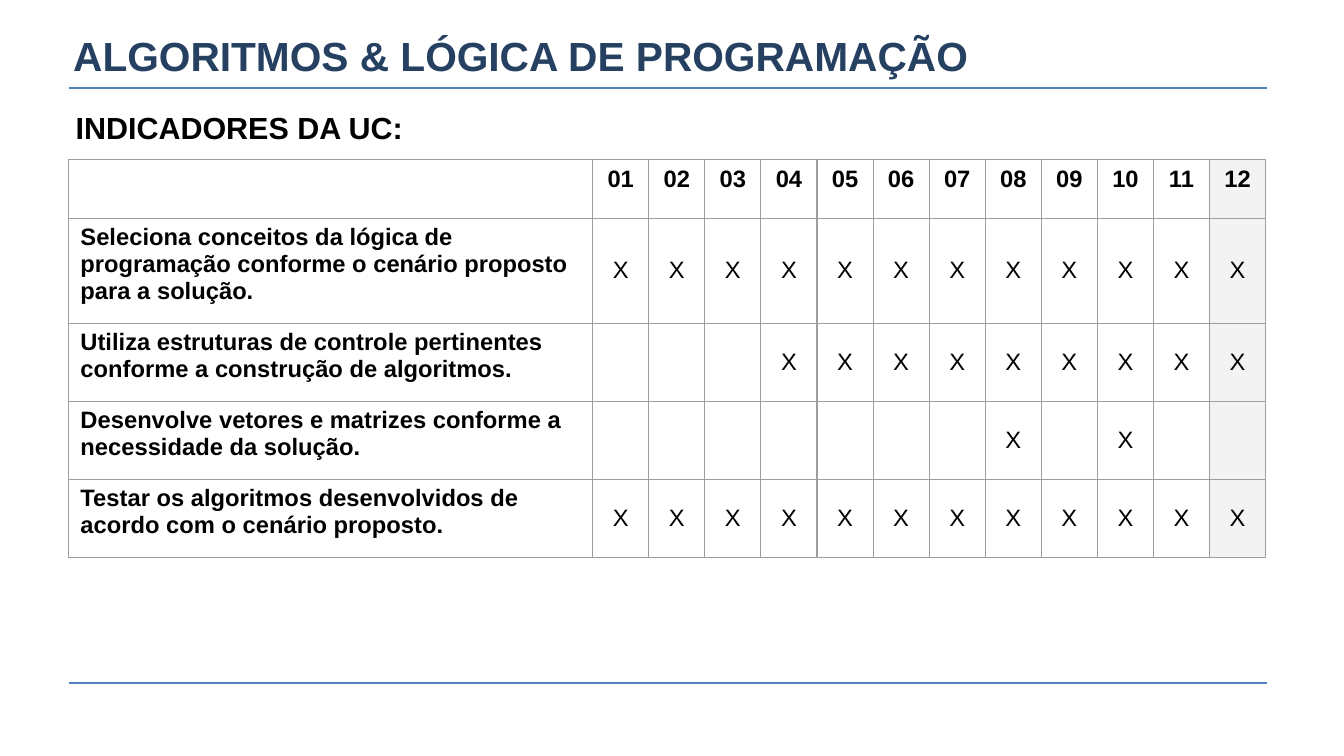
from lxml.etree import SubElement
from pptx import Presentation
from pptx.dml.color import RGBColor
from pptx.enum.shapes import MSO_CONNECTOR
from pptx.enum.text import MSO_ANCHOR, MSO_AUTO_SIZE, PP_ALIGN
from pptx.oxml import parse_xml
from pptx.oxml.ns import nsdecls, qn
from pptx.util import Inches, Pt

COLORS = {"title": "254061", "text": "000000", "rule": "4F81BD",
          "border": "9E9E9E", "white": "FFFFFF", "last": "F3F3F3"}
LESSONS = 12
INDICATORS = [
    ("Seleciona conceitos da lógica de programação conforme o cenário proposto para a solução.",
     range(1, 13)),
    ("Utiliza estruturas de controle pertinentes conforme a construção de algoritmos.",
     range(4, 13)),
    ("Desenvolve vetores e matrizes conforme a necessidade da solução.", (8, 10)),
    ("Testar os algoritmos desenvolvidos de acordo com o cenário proposto.", range(1, 13)),
]


def format_text(p, size, color, bold, align=PP_ALIGN.LEFT):
    p.alignment = align
    for r in p.runs:
        r.font.name = "Arial"
        r.font.size = Pt(size)
        r.font.bold = bold
        r.font.color.rgb = RGBColor.from_string(COLORS[color])


def add_borders(cell):
    tcPr = cell._tc.get_or_add_tcPr()
    for i, side in enumerate(("lnL", "lnR", "lnT", "lnB")):
        tcPr.insert(i, parse_xml(
            f'<a:{side} {nsdecls("a")} w="{Pt(0.75)}"><a:solidFill>'
            f'<a:srgbClr val="{COLORS["border"]}"/></a:solidFill></a:{side}>'))


prs = Presentation()
prs.slide_width, prs.slide_height = Inches(11.02), Inches(6.2)
s = prs.slides.add_slide(prs.slide_layouts[1])

# Horizontal rules
for y in (0.72, 5.6):
    line = s.shapes.add_connector(MSO_CONNECTOR.STRAIGHT, Inches(0.57), Inches(y),
                                  Inches(10.39), Inches(y))
    line.line.color.rgb = RGBColor.from_string(COLORS["rule"])
    line.line.width = Pt(1)
    SubElement(line._element.spPr, qn("a:effectLst"))

# Title and subtitle
title, body = s.shapes.title, s.placeholders[1]
for sp, text, box, inset, anchor, size, color in (
        (title, "ALGORITMOS & LÓGICA DE PROGRAMAÇÃO", (0.6, 0.22, 9.82, 0.47), 0,
         MSO_ANCHOR.MIDDLE, 24, "title"),
        (body, "INDICADORES DA UC:", (0.52, 0.75, 9.91, 4.82), 0.1,
         MSO_ANCHOR.TOP, 18, "text")):
    sp.left, sp.top, sp.width, sp.height = map(Inches, box)
    tf = sp.text_frame
    tf.text = text
    tf.word_wrap = True
    tf.auto_size = MSO_AUTO_SIZE.NONE
    tf.vertical_anchor = anchor
    tf.margin_left = tf.margin_right = tf.margin_top = tf.margin_bottom = Inches(inset)
    format_text(tf.paragraphs[0], size, color, True)

p = body.text_frame.paragraphs[0]
p.line_spacing = 1.15
p.space_before, p.space_after = Pt(0), Pt(10)
pPr = p._p.get_or_add_pPr()
pPr.set("marL", "0")
pPr.set("indent", "0")
SubElement(pPr, qn("a:buNone"))

# Indicators by lesson
rows = [[""] + [f"{n:02}" for n in range(1, LESSONS + 1)]]
for indicator, lessons in INDICATORS:
    rows.append([indicator] + ["X" if n in lessons else "" for n in range(1, LESSONS + 1)])

table = s.shapes.add_table(len(rows), LESSONS + 1, Inches(0.56), Inches(1.31),
                           Inches(9.82), Inches(3.26)).table
table.first_row = table.horz_banding = False
for i, column in enumerate(table.columns):
    column.width = Inches(0.46 if i else 4.3)
for row, height in zip(table.rows, (0.48, 0.86, 0.64, 0.64, 0.64)):
    row.height = Inches(height)

for i, values in enumerate(rows):
    for j, value in enumerate(values):
        cell = table.cell(i, j)
        cell.text = value
        is_mark = i > 0 and j > 0
        cell.vertical_anchor = MSO_ANCHOR.MIDDLE if is_mark else MSO_ANCHOR.TOP
        format_text(cell.text_frame.paragraphs[0], 14, "text", not is_mark,
                    PP_ALIGN.CENTER if j else PP_ALIGN.LEFT)
        cell.fill.solid()
        cell.fill.fore_color.rgb = RGBColor.from_string(
            COLORS["last" if j == LESSONS else "white"])
        add_borders(cell)

prs.save("out.pptx")
